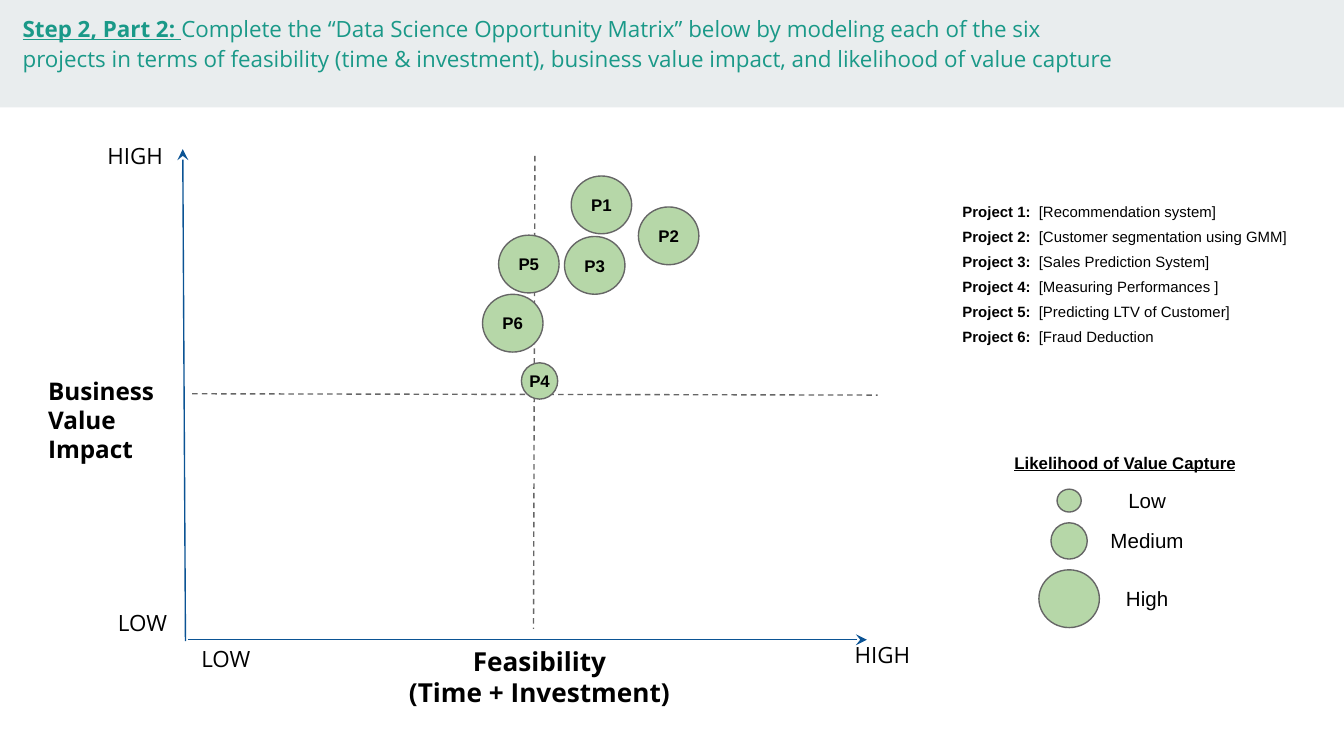
from pptx import Presentation
from pptx.dml.color import RGBColor
from pptx.enum.dml import MSO_LINE
from pptx.enum.shapes import MSO_CONNECTOR, MSO_SHAPE
from pptx.enum.text import MSO_ANCHOR, PP_ALIGN
from pptx.util import Inches, Pt
from lxml import etree

LEFT, MID, RIGHT = PP_ALIGN.LEFT, PP_ALIGN.CENTER, PP_ALIGN.RIGHT
CENTER, BOTTOM = MSO_ANCHOR.MIDDLE, MSO_ANCHOR.BOTTOM
RECT, OVAL = MSO_SHAPE.RECTANGLE, MSO_SHAPE.OVAL
STRAIGHT, DASH = MSO_CONNECTOR.STRAIGHT, MSO_LINE.DASH
NS = "{http://schemas.openxmlformats.org/drawingml/2006/main}"
SANS, ARIAL = "Open Sans", "Arial"
BLACK, GREY, BLUE, TEAL = "000000", "666666", "0B5394", "1A9988"
GREEN, PALE = "B6D7A8", "E9EDEE"
COLS, ROWS = 100, 56.25
CELL = 0.1
SIZES = {"Low": (1.8, 1.7), "Medium": (2.7, 2.7), "High": (4.5, 4.3)}


def color(code):
    return RGBColor.from_string(code)


def grid(*cells):
    return [Inches(n * CELL) for n in cells]


def style(para, size, face=ARIAL, bold=False, hue=BLACK, align=LEFT):
    font = para.font
    font.size, font.name, font.bold = Pt(size), face, bold
    font.color.rgb = color(hue)
    para.alignment = align


def label(slide, box, lines, size, **look):
    frame = slide.shapes.add_textbox(*grid(*box)).text_frame
    frame.word_wrap = True
    frame.margin_left = frame.margin_right = Inches(0.1)
    frame.margin_top = frame.margin_bottom = Inches(0.1)
    frame.text = lines
    for para in frame.paragraphs:
        style(para, size, **look)
    return frame.paragraphs[0]


def line(slide, ends, hue, dash=False, arrow=False):
    link = slide.shapes.add_connector(STRAIGHT, *grid(*ends))
    link.line.color.rgb = color(hue)
    link.line.width = Pt(0.75)
    if dash:
        link.line.dash_style = DASH
    if arrow:
        etree.SubElement(link.line._get_or_add_ln(), NS + "headEnd", type="stealth")
    etree.SubElement(link._element.spPr, NS + "effectLst")


def bubble(slide, x, y, level, name=""):
    oval = slide.shapes.add_shape(OVAL, *grid(x, y, *SIZES[level]))
    oval.shadow.inherit = False
    oval.fill.solid()
    oval.fill.fore_color.rgb = color(GREEN)
    oval.line.color.rgb = color(GREY)
    oval.line.width = Pt(0.75)
    if name:
        frame = oval.text_frame
        frame.margin_left = frame.margin_right = 0
        frame.margin_top = frame.margin_bottom = 0
        frame.vertical_anchor = CENTER
        frame.text = name
        style(frame.paragraphs[0], 9, bold=True, align=MID)


def header(slide, box):
    x, y, w, h = box
    band = slide.shapes.add_shape(RECT, *grid(*box))
    band.shadow.inherit = False
    band.fill.solid()
    band.fill.fore_color.rgb = color(PALE)
    band.line.fill.background()
    para = label(slide, (x + 0.7, y - 0.2, 84.4, 3.7), "", 12, face=SANS, hue=TEAL)
    para.line_spacing = 1.15
    step = para.add_run()
    step.text = "Step 2, Part 2: "
    step.font.bold = step.font.underline = True
    para.add_run().text = (
        "Complete the “Data Science Opportunity Matrix” below by modeling each of the six "
        "projects in terms of feasibility (time & investment), business value impact, "
        "and likelihood of value capture")


def matrix(slide, box):
    x, y, w, h = box
    line(slide, (x + 26, y + 0.5, x + 25.9, y + 35.7), GREY, dash=True)
    line(slide, (x + 0.5, y + 18.2, x + w + 0.8, y + 18.3), GREY, dash=True)
    line(slide, (x - 0.2, y, x, y + h + 0.1), BLUE, arrow=True)
    line(slide, (x + w, y + h, x + 0.2, y + h), BLUE, arrow=True)
    label(slide, (x - 11.2, y + 15.9, 11.8, 4.5), "Business Value Impact", 13,
          face=SANS, bold=True)
    label(slide, (x + 9, y + 35.9, 34.7, 4.5), "Feasibility\n(Time + Investment)", 14,
          face=SANS, bold=True, align=MID)
    for dx, dy, width, height, word in [
            (-6.8, -1.2, 8.2, 1.7, "HIGH"), (0.2, 35.9, 6.7, 2.4, "LOW"),
            (-6, 33.2, 6.7, 2.4, "LOW"), (48.8, 35.9, 8.2, 1.7, "HIGH")]:
        label(slide, (x + dx, y + dy, width, height), word, 12, face=SANS)
    for name, dx, dy, level in [("P4", 25, 15.9, "Medium"), ("P1", 28.7, 2, "High"),
                                ("P2", 33.7, 4.3, "High"), ("P3", 28.2, 6.5, "High"),
                                ("P5", 23.3, 6.4, "High"), ("P6", 22.1, 10.8, "High")]:
        bubble(slide, x + dx, y + dy, level, name)


def roster(slide, box):
    names = ["[Recommendation system]", "[Customer segmentation using GMM]",
             "[Sales Prediction System]", "[Measuring Performances ]",
             "[Predicting LTV of Customer]", "[Fraud Deduction"]
    table = slide.shapes.add_table(len(names), 3, *grid(*box)).table
    table.first_row = table.horz_banding = False
    for col, width in zip(table.columns, grid(6.7, 10.4, 13.4)):
        col.width = width
    for i, name in enumerate(names):
        table.cell(i, 1).merge(table.cell(i, 2))
        for j, text in enumerate([f"Project {i + 1}:", name]):
            cell = table.cell(i, j)
            cell.margin_left = cell.margin_right = Inches(0.03)
            cell.margin_top = cell.margin_bottom = Pt(1.2)
            cell.vertical_anchor = BOTTOM
            cell.text = text
            para = cell.text_frame.paragraphs[0]
            style(para, 8, bold=j == 0, align=LEFT if j else RIGHT)
            para.line_spacing = 1.15
        for cell in table.rows[i].cells:
            cell.fill.background()


def legend(slide, box):
    x, y, w, h = box
    title = label(slide, (x, y + 0.3, w, 3.7), "Likelihood of Value Capture", 9, bold=True)
    title.font.underline = True
    for level, top, drop in [("Low", 3.8, 2.8), ("Medium", 6.3, 5.8), ("High", 9.8, 10.1)]:
        bubble(slide, x + 5.05 - SIZES[level][0] / 2, y + top, level)
        label(slide, (x + 6.9, y + drop, 7.9, 3.7), level, 11, align=MID)


def main():
    deck = Presentation()
    deck.slide_width, deck.slide_height = grid(COLS, ROWS)
    slide = deck.slides.add_slide(deck.slide_layouts[6])
    header(slide, (0, 0, COLS, 8))
    matrix(slide, (13.8, 11.1, 50.7, 36.5))
    roster(slide, (70.3, 14.7, 30.5, 10.9))
    legend(slide, (74.5, 32.6, 18.6, 14.1))
    deck.save("out.pptx")


if __name__ == "__main__":
    main()
